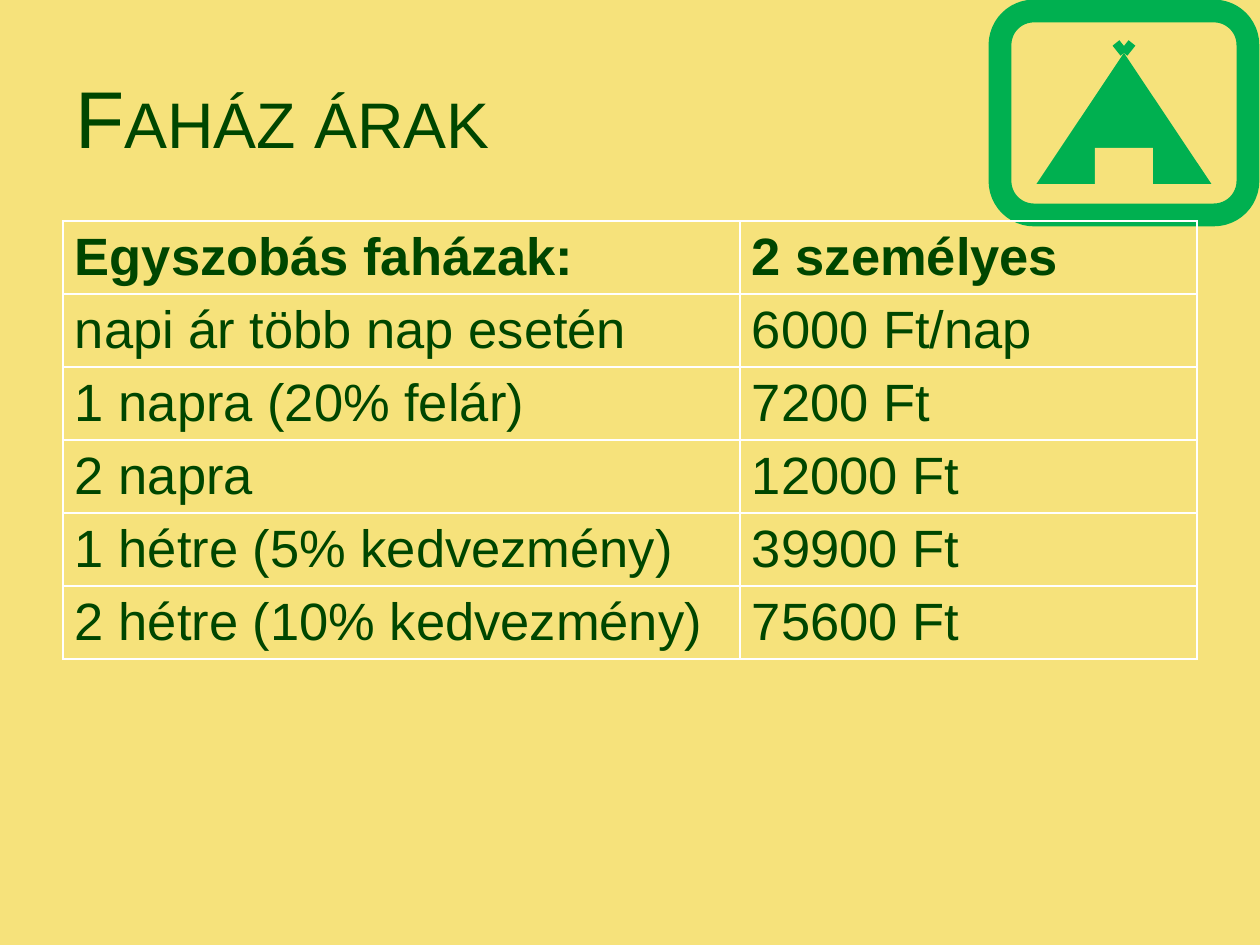
from pptx import Presentation
from pptx.dml.color import RGBColor
from pptx.enum.shapes import MSO_CONNECTOR, MSO_SHAPE
from pptx.enum.text import MSO_ANCHOR
from pptx.oxml.ns import qn
from pptx.util import Pt
from lxml.etree import SubElement

SCALE = 914400 // 126
SAND = RGBColor(0xF6, 0xE2, 0x7B)
GREEN = RGBColor(0x00, 0xB0, 0x50)
DARK_GREEN = RGBColor(0x00, 0x46, 0x00)

PRICES = [
    ("Egyszobás faházak:", "2 személyes"),
    ("napi ár több\u00a0nap\u00a0esetén", "6000 Ft/nap"),
    ("1 napra (20%\u00a0felár)", "7200 Ft"),
    ("2 napra", "12000 Ft"),
    ("1 hétre (5%\u00a0kedvezmény)", "39900 Ft"),
    ("2 hétre (10%\u00a0kedvezmény)", "75600 Ft"),
]


def px(*lengths):
    """Turn pixel lengths into EMU."""
    return [round(n * SCALE) for n in lengths]


def style(p, size, bold=False):
    """Set the font of a paragraph."""
    p.font.name = "Arial"
    p.font.size = Pt(size)
    p.font.bold = bold
    p.font.color.rgb = DARK_GREEN


def add_part(shapes, kind, x, y, w, h, fill=None):
    """Add a preset shape, filled or without fill, and without outline."""
    sp = shapes.add_shape(kind, *px(x, y, w, h))
    sp.shadow.inherit = False
    if fill is None:
        sp.fill.background()
    else:
        sp.fill.solid()
        sp.fill.fore_color.rgb = fill
    sp.line.fill.background()
    return sp


def add_tent_sign(s, x, y, w, h):
    """Draw the framed tent sign as one group in the given box."""
    shapes = s.shapes.add_group_shape().shapes
    frame = add_part(shapes, MSO_SHAPE.ROUNDED_RECTANGLE, x, y, w, h)
    frame.line.color.rgb = GREEN
    frame.line.width = Pt(13)

    mid, top, base = x + w / 2, y + 42, y + 173
    for side in (-1, 1):
        pole = shapes.add_connector(
            MSO_CONNECTOR.STRAIGHT, *px(mid, top, mid + side * 8, top - 10))
        pole.line.color.rgb = GREEN
        pole.line.width = Pt(5)
        SubElement(pole._element.spPr, qn("a:effectLst"))

    for kind, pw, ph, fill in (
            (MSO_SHAPE.ISOSCELES_TRIANGLE, 175, base - top, GREEN),
            (MSO_SHAPE.RECTANGLE, 58, 36, SAND)):
        add_part(shapes, kind, mid - pw / 2, base - ph, pw, ph, fill)


def add_title(s, text, x, y, w, h):
    """Write the title in small capitals, centred vertically in its box."""
    tf = s.shapes.add_textbox(*px(x, y, w, h)).text_frame
    tf.word_wrap = True
    tf.vertical_anchor = MSO_ANCHOR.MIDDLE
    p = tf.paragraphs[0]
    p.text = text
    style(p, 46)
    p._p.get_or_add_pPr().get_or_add_defRPr().set("cap", "small")


def add_price_table(s, rows, x, y, w, row_h, label_w):
    """Add the price table with a bold heading row."""
    frame = s.shapes.add_table(
        len(rows), 2, *px(x, y, w, row_h * len(rows)))
    table = frame.table
    table.first_row = table.horz_banding = False
    for column, width in zip(table.columns, px(label_w, w - label_w)):
        column.width = width
    for i, row in enumerate(rows):
        table.rows[i].height = px(row_h)[0]
        for j, text in enumerate(row):
            cell = table.cell(i, j)
            cell.fill.background()
            cell.vertical_anchor = MSO_ANCHOR.MIDDLE
            cell.margin_left, cell.margin_right = px(12, 12)
            cell.margin_top, cell.margin_bottom = px(5, 5)
            p = cell.text_frame.paragraphs[0]
            p.text = text
            style(p, 30, bold=i == 0)


def build_slide(prs):
    """Build the cabin price slide."""
    s = prs.slides.add_slide(prs.slide_layouts[6])
    s.background.fill.solid()
    s.background.fill.fore_color.rgb = SAND
    add_tent_sign(s, 1000, 11, 248, 204)
    add_title(s, "Faház árak", 63, 38, 1134, 157)
    add_price_table(s, PRICES, 63, 221, 1134, 71, 677)


prs = Presentation()
prs.slide_width, prs.slide_height = px(1260, 945)
build_slide(prs)
prs.save("out.pptx")
